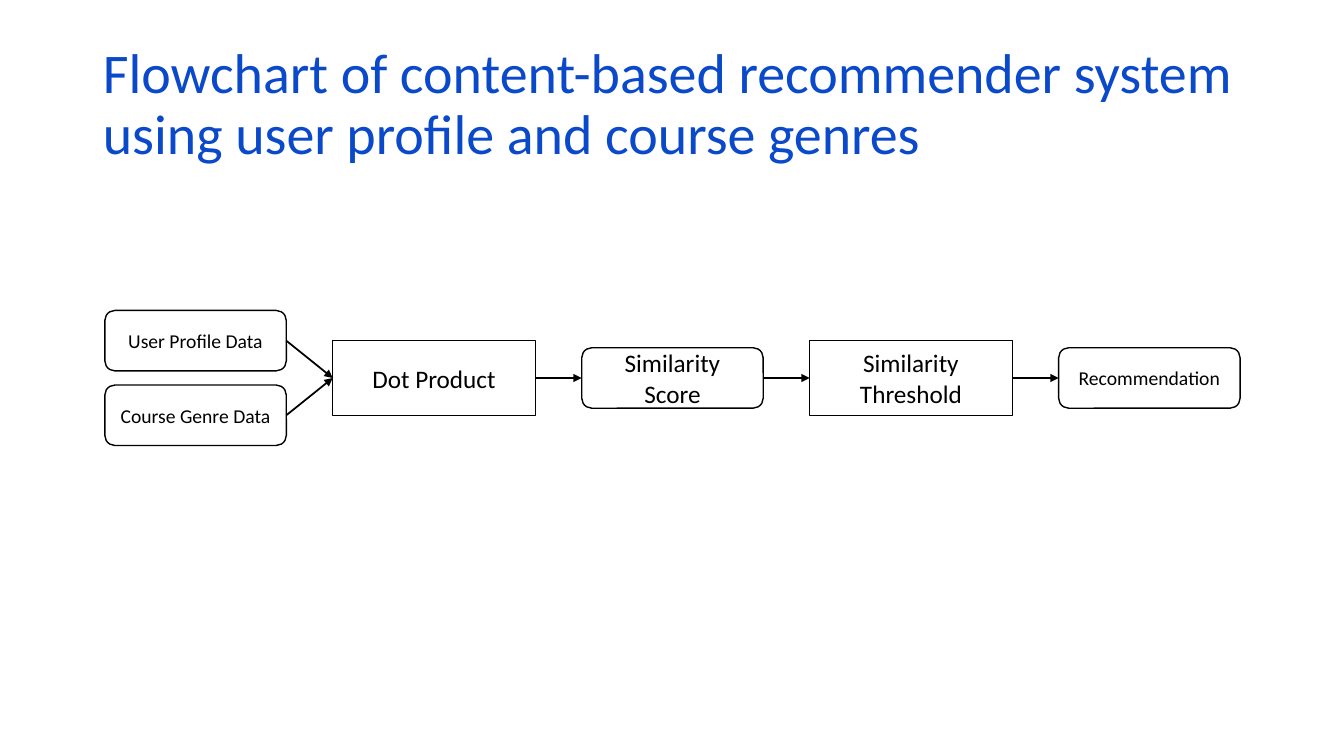
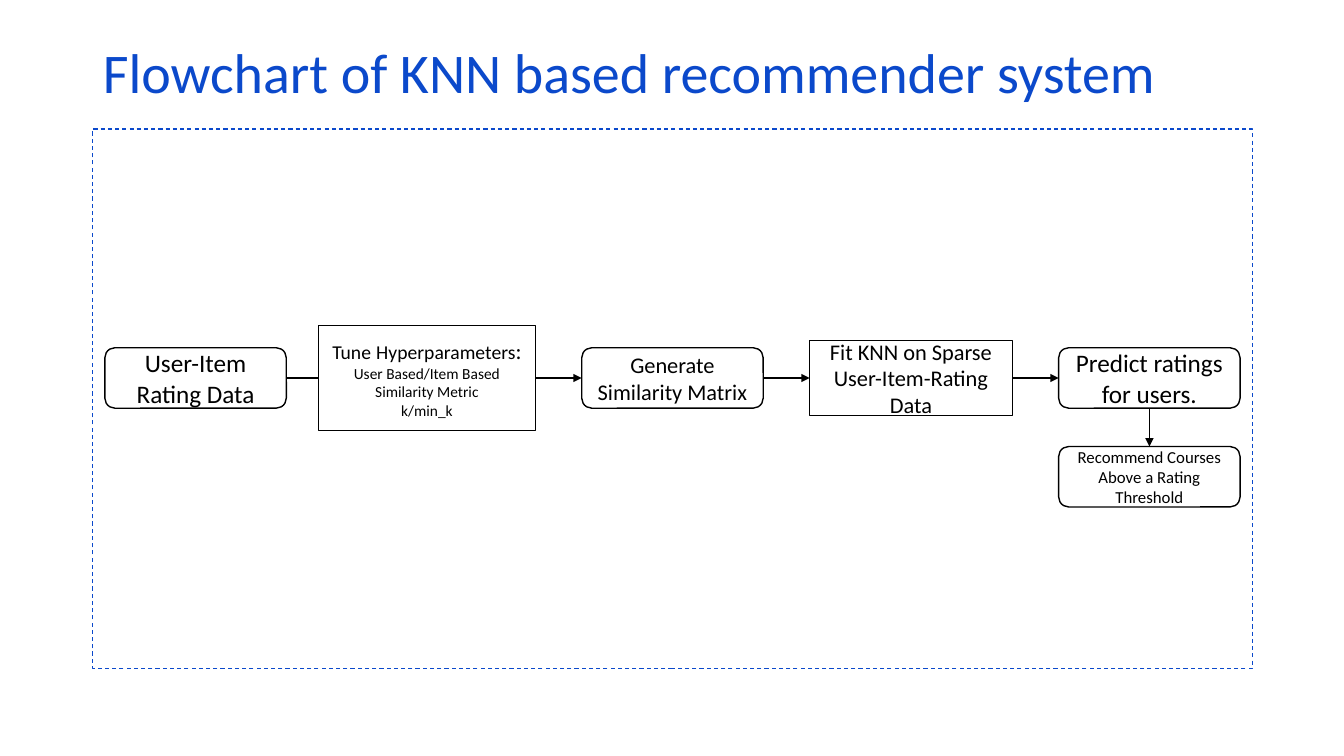
from dataclasses import dataclass

import pptx
import pptx.dml.color
import pptx.enum.dml
import pptx.enum.shapes
import pptx.enum.text
import pptx.oxml
import pptx.oxml.ns
import pptx.util

Inches, Pt = pptx.util.Inches, pptx.util.Pt
RGB = pptx.dml.color.RGBColor
SHAPES = pptx.enum.shapes.MSO_SHAPE
TOP, LEFT, BOTTOM, RIGHT = range(4)


@dataclass(frozen=True)
class Theme:
    font: str = "Calibri"
    blue: RGB = RGB.from_string("0B49CB")
    ink: RGB = RGB.from_string("000000")
    paper: RGB = RGB.from_string("FFFFFF")
    title: int = 40
    large: int = 18
    medium: int = 16
    normal: int = 14
    small: int = 12
    detail: int = 11
    outline: float = 1
    arrow: float = 1.25
    frame: float = 0.75


THEME = Theme()

# Lengths in inches; data steps are rounded, processing steps are square.
SIZES = {"data": (1.8, 0.6), "process": (2.01, 0.74), "tuning": (2.15, 1.04)}
FIRST_LEFT, GAP, MIDDLE = 1.04, 0.46, 3.75
TITLE_AREA = (0.92, 0.4, 11.5, 1.45)
FRAME_AREA = (0.92, 1.28, 11.5, 5.35)

TUNING_TEXT = [
    [("Tune", THEME.normal), (" ", THEME.medium),
     ("Hyperparameters", THEME.normal), (":", THEME.medium)],
    [("User Based/Item Based", THEME.detail)],
    [("Similarity Metric", THEME.detail)],
    [("k/min_k", THEME.detail)],
]

# Steps: key, kind, column, offset from the middle line, text, type size.
# Arrows: from, side, to, side, arrowhead.
FLOWCHARTS = [
    {
        "title": "Flowchart of content-based recommender system "
                 "using user profile and course genres",
        "framed": False,
        "steps": [
            ("profile", "data", 0, -0.37, "User Profile Data", THEME.normal),
            ("genre", "data", 0, 0.37, "Course Genre Data", THEME.normal),
            ("product", "process", 1, 0, "Dot Product", THEME.large),
            ("score", "data", 2, 0, "Similarity Score", THEME.large),
            ("threshold", "process", 3, 0, "Similarity Threshold", THEME.large),
            ("result", "data", 4, 0, "Recommendation", THEME.normal),
        ],
        "arrows": [
            ("profile", RIGHT, "product", LEFT, True),
            ("genre", RIGHT, "product", LEFT, True),
            ("product", RIGHT, "score", LEFT, True),
            ("score", RIGHT, "threshold", LEFT, True),
            ("threshold", RIGHT, "result", LEFT, True),
        ],
    },
    {
        "title": "Flowchart of KNN based recommender system",
        "framed": True,
        "steps": [
            ("ratings", "data", 0, 0, "User-Item Rating Data", THEME.large),
            ("tune", "tuning", 1, 0, TUNING_TEXT, None),
            ("matrix", "data", 2, 0, "Generate Similarity Matrix", THEME.medium),
            ("fit", "process", 3, 0, "Fit KNN on Sparse User-Item-Rating Data",
             THEME.medium),
            ("predict", "data", 4, 0, "Predict ratings for users.", THEME.large),
            ("recommend", "data", 4, 0.98,
             "Recommend Courses Above a Rating Threshold", THEME.small),
        ],
        "arrows": [
            ("ratings", RIGHT, "tune", LEFT, False),
            ("tune", RIGHT, "matrix", LEFT, True),
            ("matrix", RIGHT, "fit", LEFT, True),
            ("fit", RIGHT, "predict", LEFT, True),
            ("predict", BOTTOM, "recommend", TOP, True),
        ],
    },
]


def column_right(column):
    """Right edge of a column; data and process columns alternate."""
    widths = [SIZES["process" if i % 2 else "data"][0] for i in range(column + 1)]
    return FIRST_LEFT + sum(widths) + GAP * column


def style_font(font, size, color):
    font.name = THEME.font
    font.size = Pt(size)
    font.color.rgb = color


def add_outline(slide, preset, area, color, width):
    shape = slide.shapes.add_shape(preset, *map(Inches, area))
    shape.shadow.inherit = False
    shape.fill.background()
    shape.line.color.rgb = color
    shape.line.width = Pt(width)
    return shape


def set_title(slide, text):
    title = slide.shapes.title
    title.left, title.top, title.width, title.height = map(Inches, TITLE_AREA)
    frame = title.text_frame
    frame.text = text
    frame.word_wrap = True
    frame.auto_size = pptx.enum.text.MSO_AUTO_SIZE.NONE
    frame.vertical_anchor = pptx.enum.text.MSO_ANCHOR.TOP
    paragraph = frame.paragraphs[0]
    paragraph.alignment = pptx.enum.text.PP_ALIGN.LEFT
    paragraph.line_spacing = 0.9
    style_font(paragraph.font, THEME.title, THEME.blue)


def fill_text(frame, paragraphs):
    frame.word_wrap = True
    frame.vertical_anchor = pptx.enum.text.MSO_ANCHOR.MIDDLE
    for index, runs in enumerate(paragraphs):
        paragraph = frame.add_paragraph() if index else frame.paragraphs[0]
        paragraph.alignment = pptx.enum.text.PP_ALIGN.CENTER
        style_font(paragraph.font, runs[0][1], THEME.ink)
        for text, size in runs:
            run = paragraph.add_run()
            run.text = text
            if size != runs[0][1]:
                run.font.size = Pt(size)


def add_step(slide, kind, column, offset, text, size):
    width, height = SIZES[kind]
    area = (column_right(column) - width, MIDDLE + offset - height / 2, width, height)
    preset = SHAPES.ROUNDED_RECTANGLE if kind == "data" else SHAPES.RECTANGLE
    step = add_outline(slide, preset, area, THEME.ink, THEME.outline)
    if kind != "data":
        step.fill.solid()
        step.fill.fore_color.rgb = THEME.paper
    fill_text(step.text_frame, [[(text, size)]] if size else text)
    return step


def add_arrow(slide, start, start_side, end, end_side, arrowhead):
    arrow = slide.shapes.add_connector(
        pptx.enum.shapes.MSO_CONNECTOR.STRAIGHT, 0, 0, 0, 0)
    arrow.begin_connect(start, start_side)
    arrow.end_connect(end, end_side)
    arrow.line.color.rgb = THEME.ink
    arrow.line.width = Pt(THEME.arrow)
    qn = pptx.oxml.ns.qn
    properties = arrow.element.find(qn("p:spPr"))
    if arrowhead:
        head = properties.find(qn("a:ln")).makeelement(
            qn("a:tailEnd"), {"type": "triangle"})
        properties.find(qn("a:ln")).append(head)
    properties.append(properties.makeelement(qn("a:effectLst"), {}))


def main():
    deck = pptx.Presentation()
    deck.slide_width, deck.slide_height = Inches(13.33), Inches(7.5)
    title_only = deck.slide_layouts.get_by_name("Title Only")
    for chart in FLOWCHARTS:
        slide = deck.slides.add_slide(title_only)
        set_title(slide, chart["title"])
        if chart["framed"]:
            border = add_outline(slide, SHAPES.RECTANGLE, FRAME_AREA,
                                 THEME.blue, THEME.frame)
            border.line.dash_style = pptx.enum.dml.MSO_LINE.DASH
        steps = {key: add_step(slide, *step) for key, *step in chart["steps"]}
        for start, start_side, end, end_side, arrowhead in chart["arrows"]:
            add_arrow(slide, steps[start], start_side, steps[end], end_side, arrowhead)
    deck.save("out.pptx")


if __name__ == "__main__":
    main()
